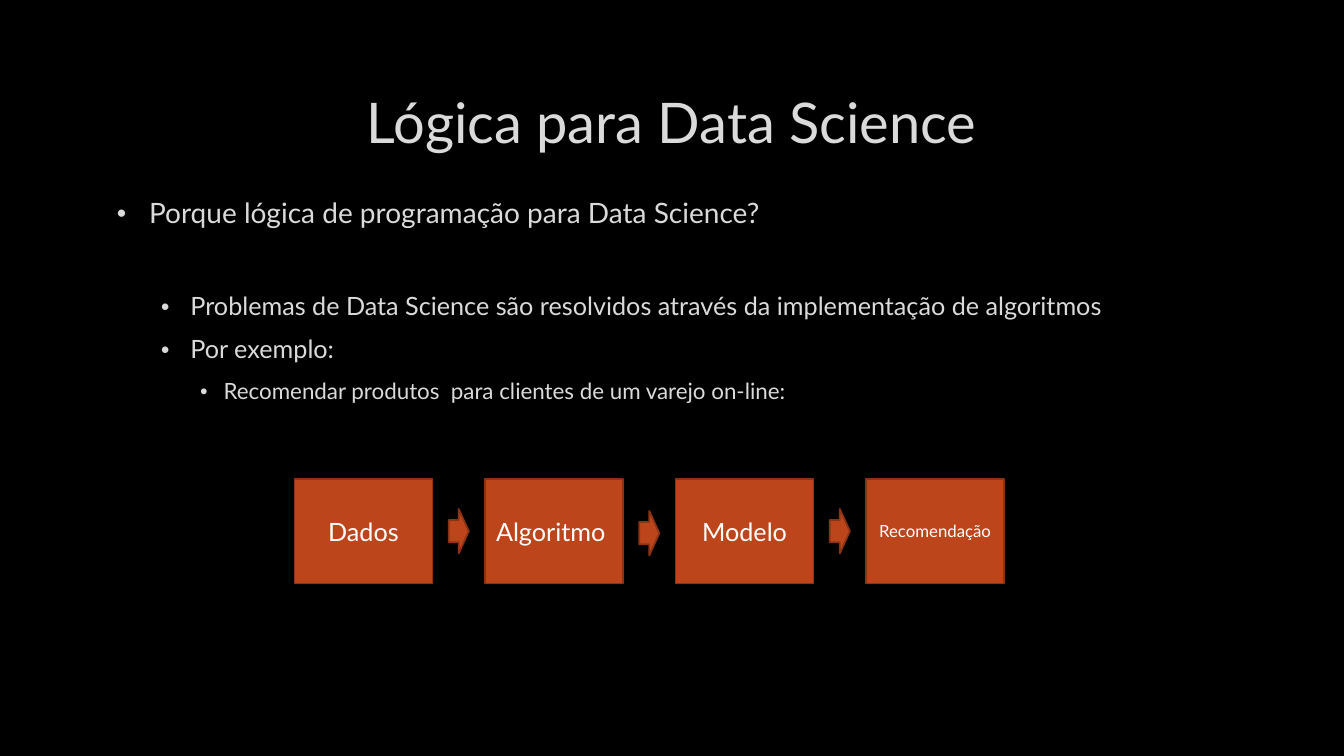
from lxml.etree import SubElement
from pptx import Presentation
from pptx.dml.color import RGBColor
from pptx.enum.shapes import MSO_SHAPE
from pptx.enum.text import MSO_ANCHOR, MSO_AUTO_SIZE, PP_ALIGN
from pptx.oxml.ns import qn
from pptx.util import Inches, Pt

COLOURS = {
    "background": "000000",
    "text": "DADADA",
    "outline": "404040",
    "fill": "BC451B",
    "border": "8B3314",
    "label": "FFFFFF",
}
FONT = "Lato"

BULLETS = [
    ("Porque lógica de programação para Data Science?", 0, 20, 4),
    ("Problemas de Data Science são resolvidos através da implementação de algoritmos", 1, 18, 37.6),
    ("Por exemplo:", 1, 18, 3.6),
    ("Recomendar produtos  para clientes de um varejo on-line:", 2, 16, 3.2),
]
INDENTS = [(0.38, -0.33), (0.79, -0.3), (1.12, -0.24)]
STEPS = [("Dados", 18), ("Algoritmo ", 18), ("Modelo", 18), ("Recomendação", 12)]
ARROW_TOPS = [5.05, 5.07, 5.05]
STEP_LEFT, ARROW_LEFT, PITCH = 2.92, 4.45, 1.89


def colour(name):
    return RGBColor.from_string(COLOURS[name])


def apply(target, values):
    for name, value in values.items():
        setattr(target, name, value)


class SlideBuilder:
    def __init__(self, deck):
        self.page = deck.slides.add_slide(deck.slide_layouts[5])
        background = self.page.background.fill
        background.solid()
        background.fore_color.rgb = colour("background")

    def place(self, box, left, top, width, height):
        apply(box, {"left": Inches(left), "top": Inches(top),
                    "width": Inches(width), "height": Inches(height)})

    def add_text(self, para, text, size, shade):
        span = para.add_run()
        span.text = text
        apply(span.font, {"name": FONT, "size": Pt(size)})
        span.font.color.rgb = colour(shade)
        return span

    def outline(self, span):
        properties = span._r.get_or_add_rPr()
        line = SubElement(properties, qn("a:ln"), w=str(Pt(0.75)))
        fill = SubElement(line, qn("a:solidFill"))
        shade = SubElement(fill, qn("a:srgbClr"), val=COLOURS["outline"])
        SubElement(shade, qn("a:alpha"), val="10000")
        properties.insert(0, line)

    def title(self, text, *bounds):
        box = self.page.shapes.title
        self.place(box, *bounds)
        apply(box.text_frame, {"word_wrap": True, "auto_size": MSO_AUTO_SIZE.NONE,
                               "vertical_anchor": MSO_ANCHOR.MIDDLE})
        para = box.text_frame.paragraphs[0]
        para.alignment = PP_ALIGN.CENTER
        self.outline(self.add_text(para, text, 40, "text"))

    def bullets(self, items, *bounds):
        box = self.page.shapes.add_textbox(*map(Inches, bounds))
        frame = box.text_frame
        frame.word_wrap = True
        for index, (text, level, size, before) in enumerate(items):
            para = frame.add_paragraph() if index else frame.paragraphs[0]
            apply(para, {"level": level, "space_before": Pt(before), "space_after": Pt(6)})
            self.bullet(para, *INDENTS[level])
            self.outline(self.add_text(para, text, size, "text"))

    def bullet(self, para, margin, indent):
        properties = para._p.get_or_add_pPr()
        properties.set("marL", str(Inches(margin)))
        properties.set("indent", str(Inches(indent)))
        shade = SubElement(properties, qn("a:buClr"))
        SubElement(shade, qn("a:srgbClr"), val=COLOURS["text"])
        SubElement(properties, qn("a:buSzPct"), val="70000")
        SubElement(properties, qn("a:buFont"), typeface=FONT)
        SubElement(properties, qn("a:buChar"), char="•")

    def block(self, kind, *bounds):
        block = self.page.shapes.add_shape(kind, *map(Inches, bounds))
        block.shadow.inherit = False
        block.fill.solid()
        block.fill.fore_color.rgb = colour("fill")
        block.line.color.rgb = colour("border")
        block.line.width = Pt(1.25)
        return block

    def step(self, text, size, *bounds):
        frame = self.block(MSO_SHAPE.RECTANGLE, *bounds).text_frame
        apply(frame, {"word_wrap": True, "vertical_anchor": MSO_ANCHOR.MIDDLE})
        para = frame.paragraphs[0]
        para.alignment = PP_ALIGN.CENTER
        self.add_text(para, text, size, "label")

    def arrow(self, *bounds):
        self.block(MSO_SHAPE.RIGHT_ARROW, *bounds)


def main():
    deck = Presentation()
    apply(deck, {"slide_width": Inches(13.33), "slide_height": Inches(7.5)})
    slide = SlideBuilder(deck)
    slide.title("Lógica para Data Science", 1, 0.67, 11.32, 1.06)
    slide.bullets(BULLETS, 1, 1.89, 11.32, 4.44)
    for index, (text, size) in enumerate(STEPS):
        slide.step(text, size, STEP_LEFT + index * PITCH, 4.75, 1.37, 1.04)
    for index, top in enumerate(ARROW_TOPS):
        slide.arrow(ARROW_LEFT + index * PITCH, top, 0.2, 0.44)
    deck.save("out.pptx")


if __name__ == "__main__":
    main()
